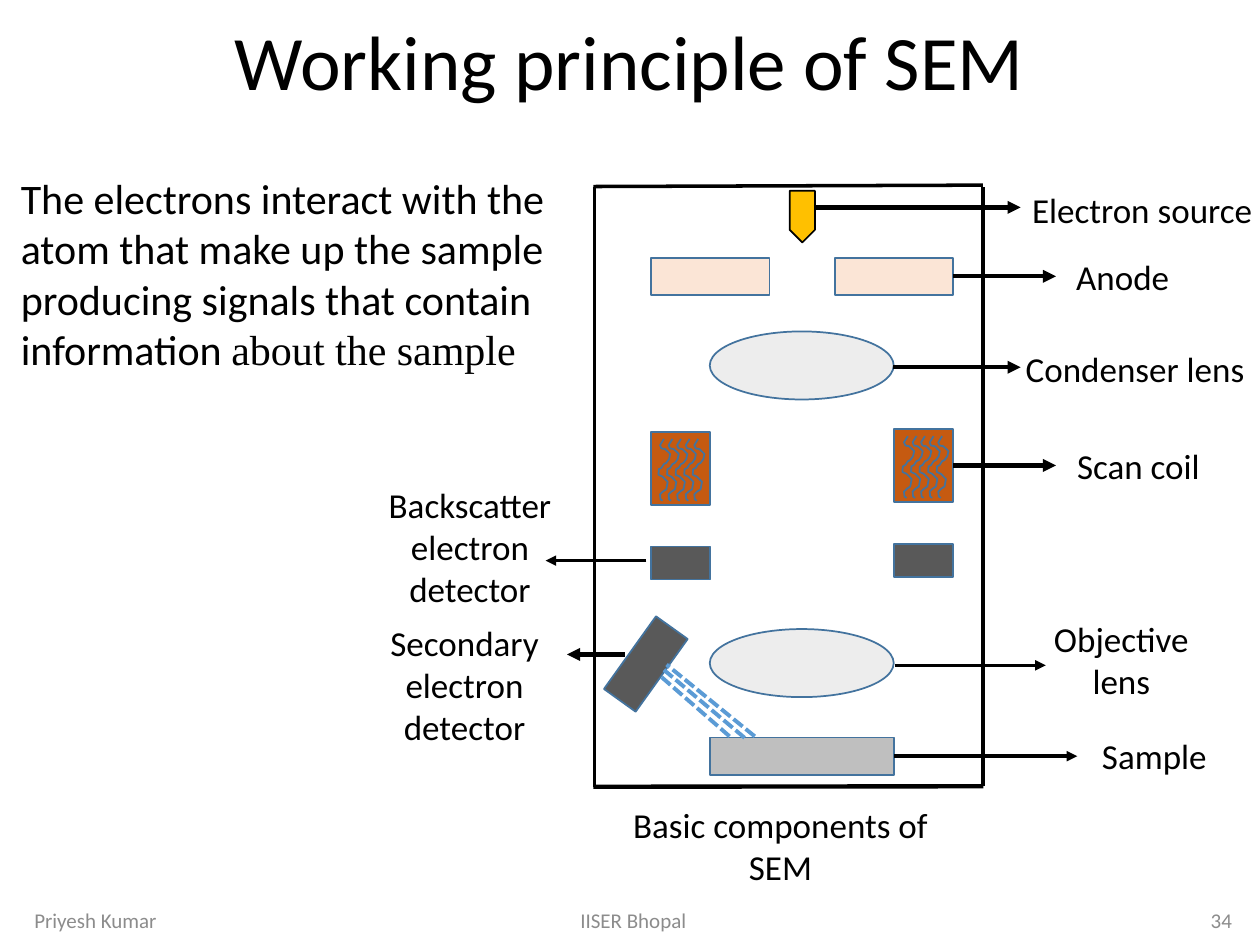
from pptx import Presentation
from pptx.dml.color import RGBColor
from pptx.enum.dml import MSO_LINE
from pptx.enum.shapes import MSO_CONNECTOR, MSO_SHAPE
from pptx.enum.text import MSO_ANCHOR, MSO_AUTO_SIZE, PP_ALIGN
from pptx.oxml.ns import qn
from pptx.util import Pt
from lxml import etree

BLACK = RGBColor(0x00, 0x00, 0x00)
GRAY = RGBColor(0x8C, 0x8C, 0x8C)
EDGE = RGBColor(0x43, 0x73, 0x9E)
BLUE = RGBColor(0x5B, 0x9B, 0xD5)
COPPER = RGBColor(0xC5, 0x5A, 0x11)
SILVER = RGBColor(0xBF, 0xBF, 0xBF)
GLASS = RGBColor(0xED, 0xED, 0xED)
DARK = RGBColor(0x59, 0x59, 0x59)
PEACH = RGBColor(0xFB, 0xE5, 0xD6)
GOLD = RGBColor(0xFF, 0xC0, 0x00)
RECT, OVAL, PLATE = MSO_SHAPE.RECTANGLE, MSO_SHAPE.OVAL, MSO_SHAPE.PENTAGON
LEFT, MID, RIGHT = PP_ALIGN.LEFT, PP_ALIGN.CENTER, PP_ALIGN.RIGHT
TOP, CENTER = MSO_ANCHOR.TOP, MSO_ANCHOR.MIDDLE
FIT = MSO_AUTO_SIZE.SHAPE_TO_FIT_TEXT
DASH = MSO_LINE.SQUARE_DOT
LINE = MSO_CONNECTOR.STRAIGHT

deck = Presentation()
deck.slide_width, deck.slide_height = Pt(720), Pt(540)
slide = deck.slides.add_slide(deck.slide_layouts[6])
shapes = slide.shapes


def add_text(text, x, y, w, h, size=20, align=MID, anchor=TOP, color=BLACK, pad=7.2):
    box = shapes.add_textbox(Pt(x), Pt(y), Pt(w), Pt(h))
    frame = box.text_frame
    frame.word_wrap = True
    frame.margin_left = frame.margin_right = Pt(pad)
    frame.vertical_anchor = anchor
    if anchor == TOP:
        frame.auto_size = FIT
    para = frame.paragraphs[0]
    para.text = text
    para.alignment = align
    para.font.size = Pt(size)
    para.font.name = "Calibri"
    para.font.color.rgb = color
    return para


def add_line(x1, y1, x2, y2, width=2, color=BLACK, arrow=False):
    line = shapes.add_connector(LINE, Pt(x1), Pt(y1), Pt(x2), Pt(y2))
    line.line.width = Pt(width)
    line.line.color.rgb = color
    props = line._element.spPr
    if arrow:
        etree.SubElement(props.find(qn("a:ln")), qn("a:tailEnd"), type="triangle")
    etree.SubElement(props, qn("a:effectLst"))
    return line


title = add_text("Working principle of SEM", 0, 0, 720, 75, 44, anchor=CENTER)
title.line_spacing = 0.9

body = add_text(
    "The electrons interact with the atom that make up the sample "
    "producing signals that contain information ",
    4.8, 95, 322, 124, 24, LEFT)
end = body.add_run()
end.text = "about the sample"
end.font.name = "Times New Roman"

for text, x, w, align in [
    ("Priyesh Kumar", 12.5, 162, LEFT),
    ("IISER Bhopal", 240.2, 243.4, MID),
    ("34", 549, 162, RIGHT),
]:
    add_text(text, x, 511.2, w, 28.8, 12, align, CENTER, GRAY)

add_text("Electron source", 586, 104.4, 133.4, 31.5, pad=3)
for text, x, y, w, h in [
    ("Anode", 606.2, 142.4, 70.6, 31.5),
    ("Condenser lens", 578.4, 195, 140.4, 31.5),
    ("Scan coil", 607.7, 250.6, 85.7, 31.5),
    ("Objective lens", 593.6, 349.2, 94.3, 55.7),
    ("Sample", 602.4, 416.2, 114.5, 31.5),
    ("Backscatter electron detector", 197.7, 273, 141.8, 80),
    ("Secondary electron detector", 194.6, 351.8, 141.8, 80),
    ("Basic components of SEM", 342, 455.8, 208, 55.7),
]:
    add_text(text, x, y, w, h)

parts = {}
for key, kind, x, y, w, h, turn, fill, edge in [
    ("gun", PLATE, 443.7, 116.6, 29.5, 14.4, 90, GOLD, BLACK),
    ("left anode", RECT, 372.2, 147.4, 67.5, 21, 0, PEACH, EDGE),
    ("anode", RECT, 477, 147.4, 67.5, 21, 0, PEACH, EDGE),
    ("condenser", OVAL, 405.6, 189.4, 105.1, 38.9, 0, GLASS, EDGE),
    ("left coil", RECT, 372.2, 246.8, 33.8, 41.8, 0, COPPER, EDGE),
    ("coil", RECT, 510.9, 245.1, 33.8, 41.8, 0, COPPER, EDGE),
    ("left detector", RECT, 372.2, 312.3, 33.8, 18.9, 0, DARK, EDGE),
    ("detector", RECT, 510.9, 310.9, 33.8, 18.9, 0, DARK, EDGE),
    ("objective", OVAL, 405.6, 359.5, 105.1, 38.9, 0, GLASS, EDGE),
    ("side detector", RECT, 357.9, 353.9, 22.3, 51.1, 35.6, DARK, EDGE),
    ("sample", RECT, 405.6, 421.5, 105.3, 21.2, 0, SILVER, EDGE),
]:
    part = shapes.add_shape(kind, Pt(x), Pt(y), Pt(w), Pt(h))
    part.rotation = turn
    part.shadow.inherit = False
    part.fill.solid()
    part.fill.fore_color.rgb = fill
    part.line.color.rgb = edge
    part.line.width = Pt(1)
    parts[key] = part

WAVE = [(36, 0), (14, 36), (22, 54), (43, 58), (58, 72), (72, 86), (66, 115),
        (50, 137), (36, 144), (22, 166), (7, 173), (5, 205), (29, 216),
        (58, 245), (50, 288), (29, 302), (14, 317), (17, 346), (29, 353)]
for x, y in [(375.8, 250.8), (515.2, 249.2)]:
    for i in range(5):
        path = shapes.build_freeform(*WAVE[0], scale=1270)
        path.add_line_segments(WAVE[1:], close=False)
        wave = path.convert_to_shape(Pt(x + 4.9 * i), Pt(y))
        wave.shadow.inherit = False
        wave.fill.background()
        wave.line.color.rgb = EDGE
        wave.line.width = Pt(1)

for x1, y1, x2, y2 in [
    (431.3, 420.8, 380.9, 379.8),
    (425.5, 421.6, 379.4, 382.8),
    (416.9, 420.8, 377.3, 386.3),
]:
    add_line(x1, y1, x2, y2, 2.25, BLUE).line.dash_style = DASH

for x1, y1, x2, y2, width in [
    (339.8, 449.6, 339.8, 106.9, 2),
    (339.1, 449.6, 562, 449.3, 2.5),
    (561.6, 449.3, 561.6, 106.6, 2.25),
    (339.1, 106.6, 561.6, 105.8, 2),
]:
    add_line(x1, y1, x2, y2, width)

for key, x1, x2, y, width in [
    ("gun", 465.1, 583.2, 118.5, 2.5),
    ("anode", 544.5, 603.4, 157.9, 2.5),
    ("condenser", 510.5, 583.2, 209.9, 2.5),
    ("coil", 544.7, 603.4, 266, 2.5),
    ("objective", 511.2, 597.6, 380.2, 2),
    ("sample", 510.9, 615.6, 432.1, 2),
    ("left detector", 369.4, 311.8, 320.4, 2),
    ("side detector", 357.1, 324, 374, 2.5),
]:
    arrow = add_line(x1, y, x2, y, width, arrow=True)
    if key in ("anode", "coil", "sample"):
        arrow.begin_connect(parts[key], 3)

deck.save("out.pptx")
